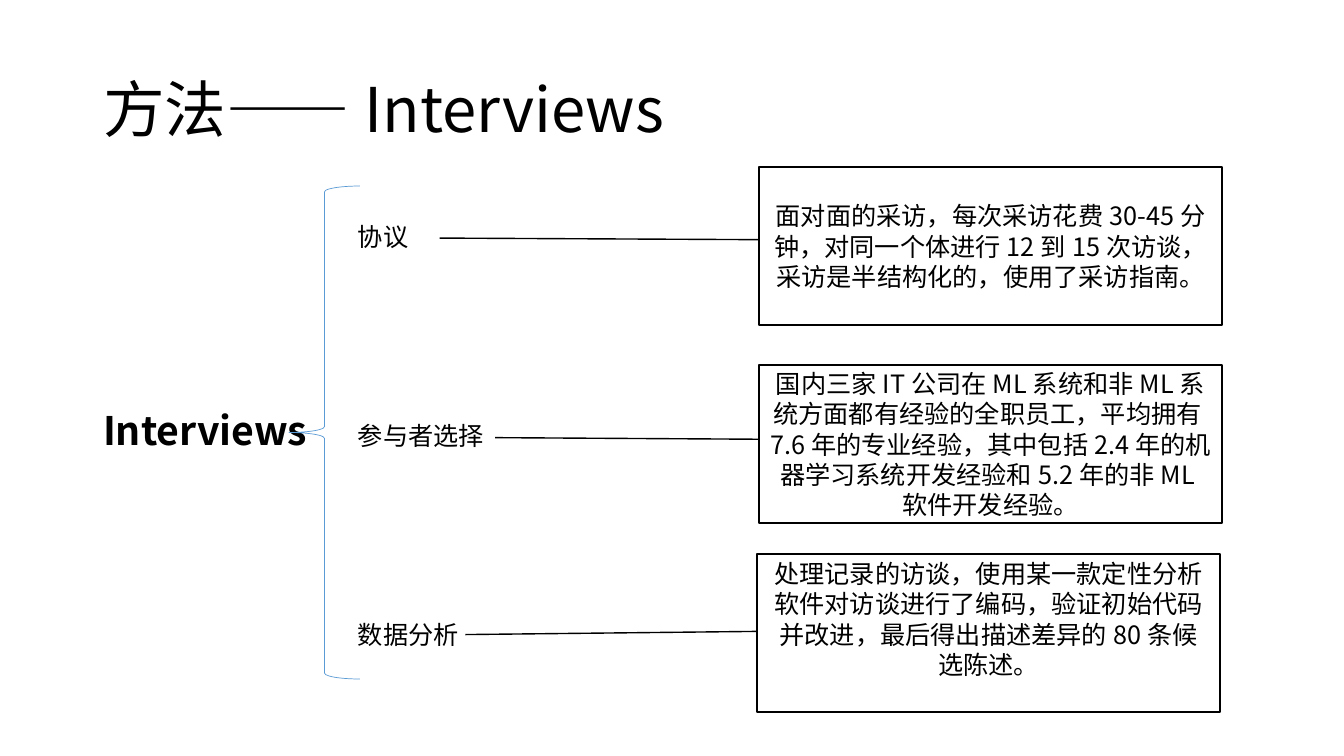
import pptx
import pptx.util
import pptx.dml.color
import pptx.enum.shapes
import pptx.enum.text
import lxml.etree

BLACK = pptx.dml.color.RGBColor(0x00, 0x00, 0x00)
WHITE = pptx.dml.color.RGBColor(0xFF, 0xFF, 0xFF)
BLUE = pptx.dml.color.RGBColor(0x5B, 0x9B, 0xD5)
FONT = "Noto Sans CJK SC"
SHAPE = pptx.enum.shapes.MSO_SHAPE
ALIGN = pptx.enum.text.PP_ALIGN
ANCHOR = pptx.enum.text.MSO_ANCHOR

TITLE = "方法——Interviews"
TOPIC = "Interviews"
# label, detail, callout left and top, pointer (y1, x1, y2, x2), bottom margin
BRANCHES = [
    ("协议",
     "面对面的采访，每次采访花费30-45分钟，对同一个体进行12到15次访谈，"
     "采访是半结构化的，使用了采访指南。",
     (759, 167), (0.46, 0, 0.45, -0.69), 5),
    ("参与者选择",
     "国内三家IT公司在ML系统和非ML系统方面都有经验的全职员工，平均拥有7.6年的专业经验，"
     "其中包括2.4年的机器学习系统开发经验和5.2年的非ML软件开发经验。",
     (759, 365), (0.47, 0, 0.46, -0.57), 5),
    ("数据分析",
     "处理记录的访谈，使用某一款定性分析软件对访谈进行了编码，验证初始代码并改进，"
     "最后得出描述差异的80条候选陈述。",
     (757, 554), (0.49, 0, 0.51, -0.63), 33),
]
TITLE_BOX = (93, 40, 1159, 146)
TOPIC_BOX = (93, 176, 1159, 514)
BRACE_BOX = (289, 186, 71, 493)
LABEL_LEFT, LABEL_TOP, LABEL_STEP = 348, 216, 199
LABEL_SIZE = (150, 40)
CALLOUT_SIZE = (463, 158)


def px(length):
    return pptx.util.Emu(round(length * 914400 / 100.8))


def place(shape, bounds):
    shape.left, shape.top, shape.width, shape.height = map(px, bounds)


def write(shape, text, size=18, bold=False, align=ALIGN.LEFT,
          anchor=ANCHOR.MIDDLE, spacing=1.0):
    frame = shape.text_frame
    frame.word_wrap = True
    frame.auto_size = pptx.enum.text.MSO_AUTO_SIZE.NONE
    frame.vertical_anchor = anchor
    para = frame.paragraphs[0]
    para.alignment = align
    para.line_spacing = spacing
    para.space_before = pptx.util.Pt(0)
    span = para.add_run()
    span.text = text
    span.font.name = FONT
    span.font.size = pptx.util.Pt(size)
    span.font.bold = bold
    span.font.color.rgb = BLACK
    east_asian = lxml.etree.SubElement(
        span.font._element, pptx.oxml.ns.qn("a:ea"))
    east_asian.set("typeface", FONT)
    return para


def remove_bullet(para):
    properties = para._p.get_or_add_pPr()
    properties.set("marL", "0")
    properties.set("indent", "0")
    lxml.etree.SubElement(properties, pptx.oxml.ns.qn("a:buNone"))


def add_outline(page, kind, bounds, color, width):
    shape = page.shapes.add_shape(kind, *map(px, bounds))
    shape.shadow.inherit = False
    shape.line.color.rgb = color
    shape.line.width = pptx.util.Pt(width)
    return shape


def add_branch(page, index, branch):
    label, detail, corner, pointer, bottom_margin = branch
    label_top = LABEL_TOP + index * LABEL_STEP
    box = page.shapes.add_textbox(
        *map(px, (LABEL_LEFT, label_top) + LABEL_SIZE))
    write(box, label, anchor=ANCHOR.TOP)

    callout = add_outline(
        page, SHAPE.LINE_CALLOUT_1, corner + CALLOUT_SIZE, BLACK, 1)
    callout.fill.solid()
    callout.fill.fore_color.rgb = WHITE
    for position, value in enumerate(pointer):
        callout.adjustments[position] = value
    write(callout, detail, align=ALIGN.CENTER)
    callout.text_frame.margin_bottom = px(bottom_margin)


def main():
    deck = pptx.Presentation()
    deck.slide_width, deck.slide_height = px(1344), px(756)
    page = deck.slides.add_slide(deck.slide_layouts[1])
    title, topic = page.placeholders

    place(title, TITLE_BOX)
    write(title, TITLE, size=44, spacing=0.9)
    place(topic, TOPIC_BOX)
    remove_bullet(write(topic, TOPIC, size=28, bold=True, spacing=0.9))

    brace = add_outline(page, SHAPE.LEFT_BRACE, BRACE_BOX, BLUE, 0.5)
    brace.fill.background()
    for index, branch in enumerate(BRANCHES):
        add_branch(page, index, branch)
    deck.save("out.pptx")


if __name__ == "__main__":
    main()
